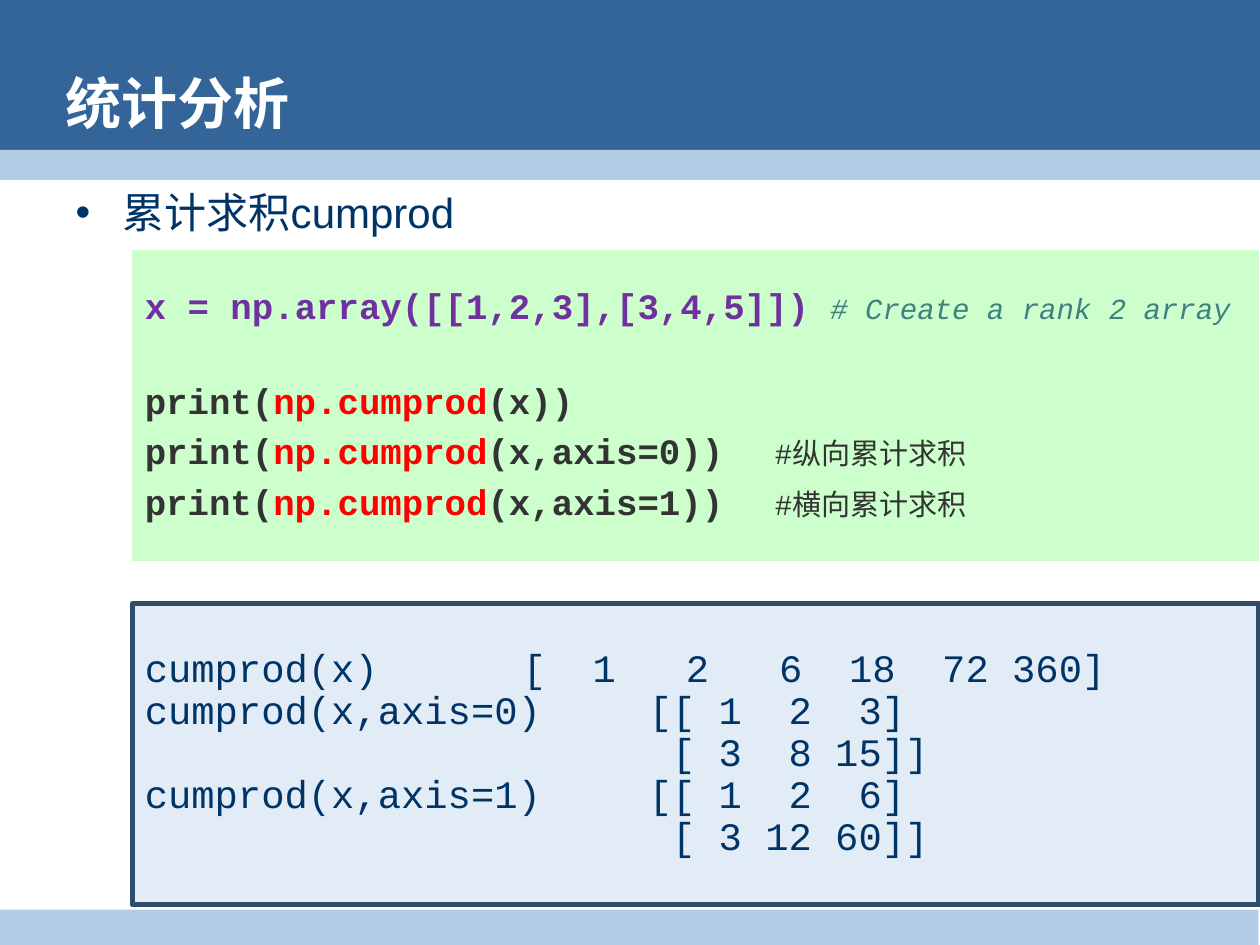
import pptx
import pptx.util
import pptx.dml.color
import pptx.enum.shapes
import pptx.enum.text
import pptx.oxml
import pptx.oxml.ns

Cm, Pt = pptx.util.Cm, pptx.util.Pt
RGB = pptx.dml.color.RGBColor
KIND = pptx.enum.shapes.MSO_SHAPE
ANCHOR = pptx.enum.text.MSO_ANCHOR
LEFT = pptx.enum.text.PP_ALIGN.LEFT

BLUE = RGB(0x33, 0x65, 0x99)
PALE = RGB(0xB3, 0xCC, 0xE6)
NAVY = RGB(0x00, 0x33, 0x66)
WHITE = RGB(0xFF, 0xFF, 0xFF)
GREEN = RGB(0xCC, 0xFF, 0xCC)
ICE = RGB(0xE2, 0xEC, 0xF6)
EDGE = RGB(0x2E, 0x4C, 0x6B)
PURPLE = RGB(0x70, 0x30, 0xA0)
TEAL = RGB(0x40, 0x80, 0x80)
GREY = RGB(0x33, 0x33, 0x33)
RED = RGB(0xFF, 0x00, 0x00)

# Text formats
SANS, MONO = "Arial", "Courier New"
HEAD = dict(name=SANS, size=Pt(32), bold=True, color=WHITE)
ITEM = dict(name=SANS, size=Pt(24), bold=False, color=NAVY)
CODE = dict(name=MONO, size=Pt(20.4), bold=True, color=GREY)
CALL = dict(CODE, color=RED)
DATA = dict(CODE, color=PURPLE)
NOTE = dict(name=MONO, size=Pt(16.6), bold=False, color=GREY)
SIDE = dict(NOTE, italic=True, color=TEAL)
OUT = dict(name=MONO, size=Pt(22.2), bold=False, color=NAVY)

# Content: (space before, tab stop in cm, runs)
TITLE = "统计分析"
TOPIC = "累计求积cumprod"
CALLS = [
    (32, "(x))", ""),
    (6.8, "(x,axis=0)) ", "\t#纵向累计求积"),
    (6.8, "(x,axis=1)) ", "\t#横向累计求积"),
]
LINES = [(6.8, 12.7, [("x = np.array([[1,2,3],[3,4,5]]) ", DATA),
                      ("# Create a rank 2 array", SIDE)])]
LINES += [(gap, 12.7, [("print(", CODE), ("np.cumprod", CALL),
                       (args, CODE), (note, NOTE)])
          for gap, args, note in CALLS]
RESULT = [
    (7.62, "cumprod(x)\t[  1   2   6  18  72 360]"),
    (10.16, "cumprod(x,axis=0)\t[[ 1  2  3]"),
    (10.16, "\t [ 3  8 15]]"),
    (10.16, "cumprod(x,axis=1)\t[[ 1  2  6]"),
    (10.16, "\t [ 3 12 60]]"),
]
ROWS = [(0, stop, [(text, OUT)]) for stop, text in RESULT]

# Places in cm: left, top, width, height
BANDS = [(BLUE, (0, 0, 25.4, 3.33)), (PALE, (0, 3.02, 25.4, 0.61)),
         (PALE, (0, 18.34, 25.37, 0.76))]
BODY_AT = (1.27, 3.63, 23.5, 14.81)
TITLE_AT = (1.07, 1.32, 23.01, 1.47)
CODE_AT = (2.67, 5.05, 22.71, 6.27)
OUT_AT = (2.67, 12.17, 22.71, 6.07)


def apply(obj, vals):
    for key, val in vals.items():
        setattr(obj, key, val)


def node(home, tag, **attrs):
    """Append a drawing element with its attributes."""
    item = pptx.oxml.parse_xml(f"<a:{tag} {pptx.oxml.ns.nsdecls('a')}/>")
    for key, val in attrs.items():
        item.set(key, str(val))
    home.append(item)
    return item


def write(para, text, style):
    run = para.add_run()
    run.text = text
    apply(run.font, {k: v for k, v in style.items() if k != "color"})
    run.font.color.rgb = style["color"]
    node(run._r.get_or_add_rPr(), "ea", typeface=SANS)


def place(shape, at):
    names = ("left", "top", "width", "height")
    apply(shape, dict(zip(names, map(Cm, at))))


def block(shapes, kind, at, fill, edge=None):
    shape = shapes.add_shape(kind, *map(Cm, at))
    shape.shadow.inherit = False
    shape.fill.solid()
    shape.fill.fore_color.rgb = fill
    if edge is None:
        shape.line.fill.background()
    else:
        shape.line.color.rgb = edge
        shape.line.width = Pt(3)
    return shape


def fill_text(shape, rows):
    frame = shape.text_frame
    apply(frame, dict(word_wrap=True, vertical_anchor=ANCHOR.MIDDLE))
    for i, (gap, stop, runs) in enumerate(rows):
        para = frame.add_paragraph() if i else frame.paragraphs[0]
        apply(para, dict(alignment=LEFT, line_spacing=0.9,
                         space_before=Pt(gap)))
        tabs = node(para._p.get_or_add_pPr(), "tabLst")
        node(tabs, "tab", pos=Cm(stop), algn="l")
        for text, style in runs:
            if text:
                write(para, text, style)


def main():
    deck = pptx.Presentation()
    apply(deck, dict(slide_width=Cm(25.4), slide_height=Cm(19.05)))
    slide = deck.slides.add_slide(deck.slide_layouts[1])
    shapes = slide.shapes
    title, body = shapes.title, slide.placeholders[1]

    # Bands, with the placeholders in front
    for fill, at in BANDS:
        block(shapes, KIND.RECTANGLE, at, fill)
    for shape, at in ((body, BODY_AT), (title, TITLE_AT)):
        shapes._spTree.append(shape._element)
        place(shape, at)

    # Title
    title.text_frame.vertical_anchor = ANCHOR.MIDDLE
    para = title.text_frame.paragraphs[0]
    para.alignment = LEFT
    write(para, TITLE, HEAD)

    # Bulleted topic
    para = body.text_frame.paragraphs[0]
    para.space_before = Pt(6)
    props = para._p.get_or_add_pPr()
    apply(props, {})
    props.set("marL", str(Cm(0.95)))
    props.set("indent", str(Cm(-0.95)))
    node(node(props, "buClr"), "srgbClr", val=NAVY)
    node(props, "buFont", typeface=SANS)
    node(props, "buChar", char="•")
    write(para, TOPIC, ITEM)

    # Code and its output
    code = block(shapes, KIND.FLOWCHART_PROCESS, CODE_AT, GREEN)
    fill_text(code, LINES)
    out = block(shapes, KIND.RECTANGLE, OUT_AT, ICE, EDGE)
    fill_text(out, ROWS)

    deck.save("out.pptx")


if __name__ == "__main__":
    main()
